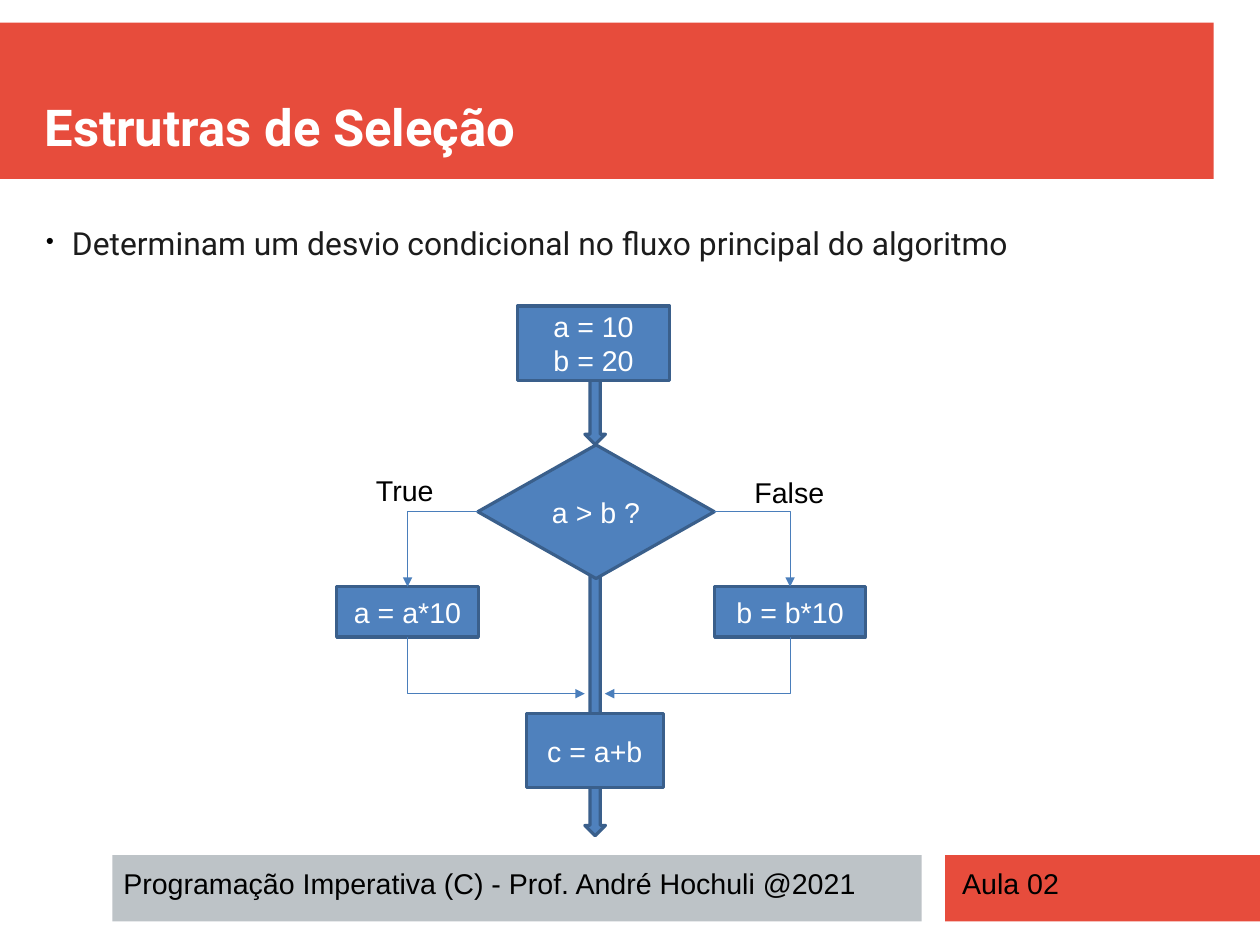
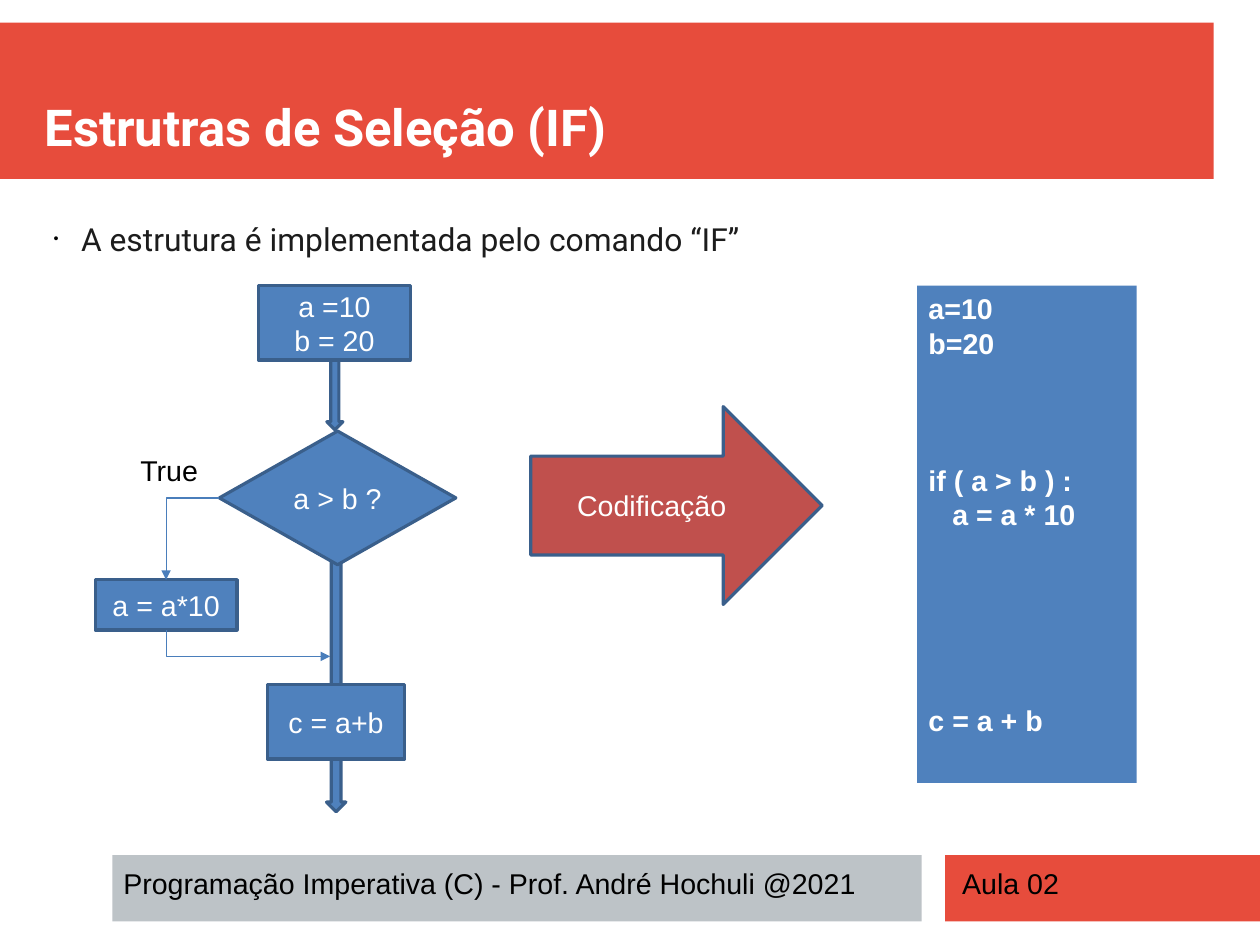
"""Builds two slides on selection structures, with flowcharts and code."""
from pptx import Presentation
from pptx.dml.color import RGBColor
from pptx.enum import shapes, text
from pptx.oxml.ns import qn
from pptx.util import Pt
from lxml import etree

COLORS = {
    "red": "E74C3C", "gray": "BDC3C7", "blue": "4F81BD", "edge": "3A5F8B",
    "wire": "4A7EBB", "brick": "C0504D", "ink": "1C1C1C",
    "black": "000000", "white": "FFFFFF",
}
MSO = shapes.MSO_SHAPE
CENTER = text.PP_ALIGN.CENTER
LEFT = text.PP_ALIGN.LEFT
TOP, MIDDLE, BOTTOM = (text.MSO_ANCHOR.TOP, text.MSO_ANCHOR.MIDDLE,
                       text.MSO_ANCHOR.BOTTOM)
TOP_SITE, LEFT_SITE, BOTTOM_SITE, RIGHT_SITE = range(4)


def rgb(name):
    return RGBColor.from_string(COLORS[name])


def write(sp, lines, color, size=18, font="Arial", bold=False, align=LEFT,
          anchor=TOP, inset=True):
    tf = sp.text_frame
    tf.word_wrap = True
    tf.vertical_anchor = anchor
    tf.margin_left = tf.margin_right = Pt(7.2 if inset else 0)
    tf.margin_top = tf.margin_bottom = Pt(3.6 if inset else 0)
    for i, line in enumerate(lines):
        p = tf.paragraphs[0] if i == 0 else tf.add_paragraph()
        p.add_run().text = line
        p.alignment = align
        p.font.size, p.font.name, p.font.bold = Pt(size), font, bold
        p.font.color.rgb = rgb(color)
    return tf


def add_text(s, box, lines, color, **style):
    sp = s.shapes.add_textbox(*map(Pt, box))
    return write(sp, lines, color, **style)


def add_block(s, kind, box, fill, edge=None):
    sp = s.shapes.add_shape(kind, *map(Pt, box))
    sp.shadow.inherit = False
    sp.fill.solid()
    sp.fill.fore_color.rgb = rgb(fill)
    if edge:
        sp.line.color.rgb = rgb(edge)
        sp.line.width = Pt(2)
    else:
        sp.line.fill.background()
    return sp


def add_node(s, kind, box, *lines, fill="blue"):
    sp = add_block(s, kind, box, fill, "edge")
    if lines:
        write(sp, lines, "white", align=CENTER, anchor=MIDDLE)
    return sp


def add_bullet(sp, line, char, indent, spacing=None):
    p = write(sp, [line], "ink", size=20, font="Roboto", inset=False).paragraphs[0]
    if spacing:
        p.line_spacing = spacing
    pPr = p._p.get_or_add_pPr()
    pPr.set("marL", str(Pt(17.3)))
    pPr.set("indent", str(Pt(indent)))
    color = etree.Element(qn("a:buClr"))
    etree.SubElement(color, qn("a:srgbClr"), val=COLORS["black"])
    marks = [color, etree.Element(qn("a:buSzPct"), val="45000"),
             etree.Element(qn("a:buFont"), typeface="Arial"),
             etree.Element(qn("a:buChar"), char=char)]
    for mark in marks:
        pPr.find(qn("a:defRPr")).addprevious(mark)


def add_bent(s, x1, y1, x2, y2, turn, flip, begin, end=None):
    c = s.shapes.add_connector(shapes.MSO_CONNECTOR.ELBOW, x1, y1, x2, y2)
    c.begin_connect(*begin)
    if end:
        c.end_connect(*end)
    width, height = abs(x2 - x1), abs(y2 - y1)
    if turn % 180:
        width, height = height, width
    c.left, c.top = (x1 + x2 - width) // 2, (y1 + y2 - height) // 2
    c.width, c.height = width, height
    xfrm = c._element.spPr.find(qn("a:xfrm"))
    for name in ("flipH", "flipV"):
        xfrm.attrib.pop(name, None)
    if turn:
        xfrm.set("rot", str(turn * 60000))
    if flip:
        xfrm.set(flip, "1")
    c._element.spPr.find(qn("a:prstGeom")).set("prst", "bentConnector2")
    c.line.color.rgb = rgb("wire")
    c.line.width = Pt(0.75)
    etree.SubElement(c._element.spPr, qn("a:effectLst"))
    etree.SubElement(c.line._get_or_add_ln(), qn("a:tailEnd"), type="triangle")


def add_branch(s, test, site, step, merge_x, merge_y):
    x = step.left + step.width // 2
    y = test.top + test.height // 2
    bottom = step.top + step.height
    if site == LEFT_SITE:
        side, out, back = test.left, (180, "flipV"), (270, "flipH")
    else:
        side, out, back = test.left + test.width, (0, None), (90, None)
    add_bent(s, side, y, x, step.top, *out, (test, site), (step, TOP_SITE))
    add_bent(s, x, bottom, Pt(merge_x), Pt(merge_y), *back,
             (step, BOTTOM_SITE))


def add_flow(s, arrows, start, start_lines, test, result):
    for box in arrows:
        add_node(s, MSO.DOWN_ARROW, box)
    add_node(s, MSO.RECTANGLE, (*start, 95.8, 46.8), *start_lines)
    add_node(s, MSO.RECTANGLE, (*result, 86.4, 46.8), "c = a+b")
    return add_node(s, MSO.DIAMOND, (*test, 149, 84.2), "a > b ?")


def add_label(s, box, line):
    add_text(s, box, [line], "black", align=CENTER)


def new_slide(prs, title):
    s = prs.slides.add_slide(prs.slide_layouts[6])
    for box, fill in (((0, 14.2, 764.6, 98.6), "red"),
                      ((595.4, 538.6, 198.3, 41.8), "red"),
                      ((70.8, 538.6, 509.8, 41.8), "gray")):
        add_block(s, MSO.RECTANGLE, box, fill)
    add_text(s, (28.1, 28.1, 736.6, 70.6), [title], "white", size=32,
             font="Roboto", bold=True, anchor=BOTTOM, inset=False)
    add_text(s, (70.6, 542.2, 506.9, 28.1),
             ["Programação Imperativa (C) - Prof. André Hochuli @2021"], "black")
    add_text(s, (599, 542.2, 179.3, 28.1), ["Aula 02"], "black")
    return s


def selection_slide(prs):
    s = new_slide(prs, "Estrutras de Seleção")
    body = s.shapes.add_textbox(*map(Pt, (28.1, 149.4, 722.2, 367.9)))
    add_bullet(body,
               "Determinam um desvio condicional no fluxo principal do algoritmo",
               "●", -16.6, 0.6)
    test = add_flow(s, [(368.4, 226.8, 13, 53.3), (368.4, 360, 13, 166.5)],
                    (326, 192.8), ["a = 10", "b = 20"],
                    (301, 280.3), (331.5, 449.5))
    yes = add_node(s, MSO.RECTANGLE, (212.1, 369.6, 89.3, 31.7), "a = a*10")
    no = add_node(s, MSO.RECTANGLE, (450.2, 369.6, 95, 31.7), "b = b*10")
    add_branch(s, test, LEFT_SITE, yes, 368.4, 437)
    add_branch(s, test, RIGHT_SITE, no, 381, 437)
    add_label(s, (226.2, 294.5, 57.6, 28.1), "True")
    add_label(s, (465.2, 295.9, 64.1, 28.1), "False")


def if_slide(prs):
    s = new_slide(prs, "Estrutras de Seleção (IF)")
    body = add_block(s, MSO.RECTANGLE, (33.8, 138.2, 722.2, 373.7), "white")
    add_bullet(body, "A estrutura é implementada pelo comando “IF”", "•", -21.6)
    test = add_flow(s, [(205.9, 226.8, 10.1, 43.9), (205.7, 351.4, 12.2, 160)],
                    (162.8, 180), ["a =10", "b = 20"],
                    (138.2, 271.6), (168.5, 431.4))
    yes = add_node(s, MSO.RECTANGLE, (60, 365.2, 89.3, 31.7), "a = a*10")
    add_branch(s, test, LEFT_SITE, yes, 208, 413.5)
    add_label(s, (77.8, 282, 57.6, 28.1), "True")
    code = add_block(s, MSO.RECTANGLE, (577.8, 180, 138.2, 313.2), "blue")
    tf = write(code, ["a=10", "b=20", "if ( a > b ) :", "   a = a * 10",
                      "c = a + b"], "white", bold=True)
    for i, skipped in ((2, 3), (4, 5)):
        tf.paragraphs[i].space_before = Pt(21.6 * skipped)
    add_node(s, MSO.RIGHT_ARROW, (334.3, 256.2, 183.6, 124.6), "Codificação",
             fill="brick")


def main():
    prs = Presentation()
    prs.slide_width, prs.slide_height = Pt(793.7), Pt(595.3)
    selection_slide(prs)
    if_slide(prs)
    prs.save("out.pptx")


if __name__ == "__main__":
    main()
